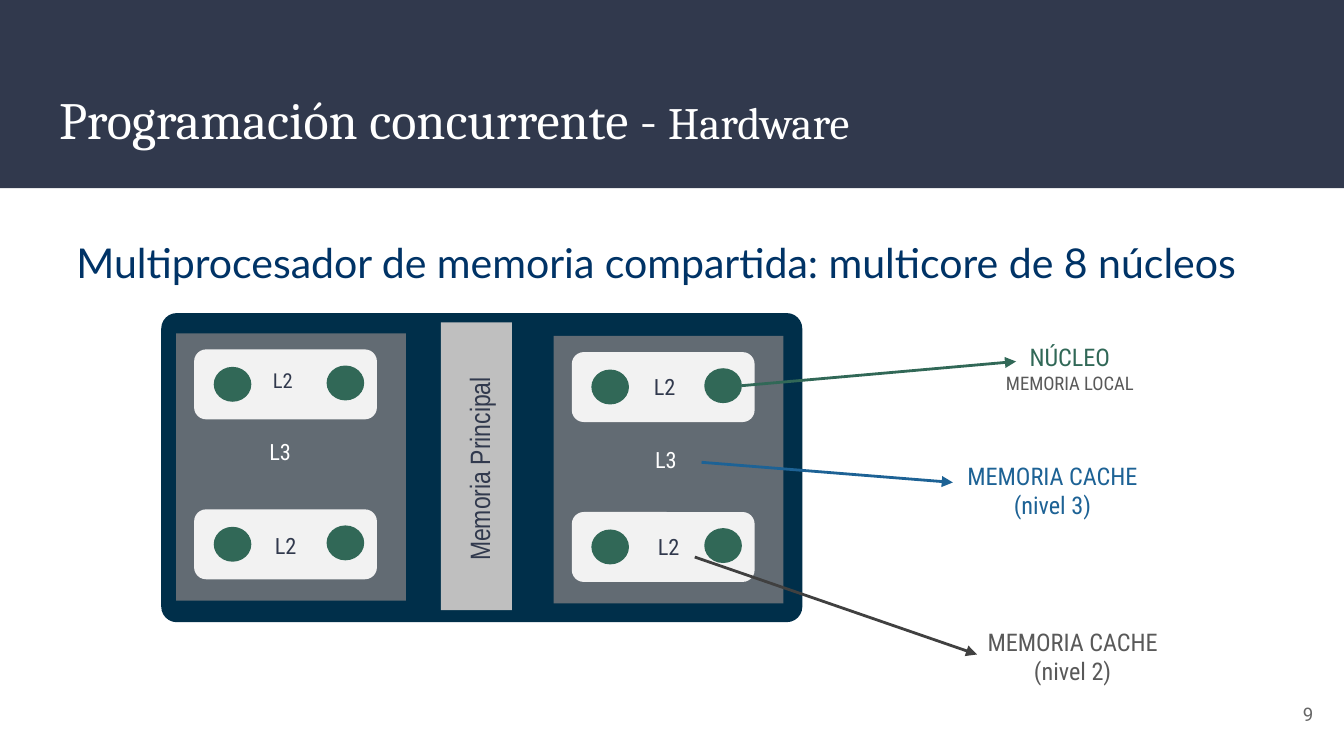
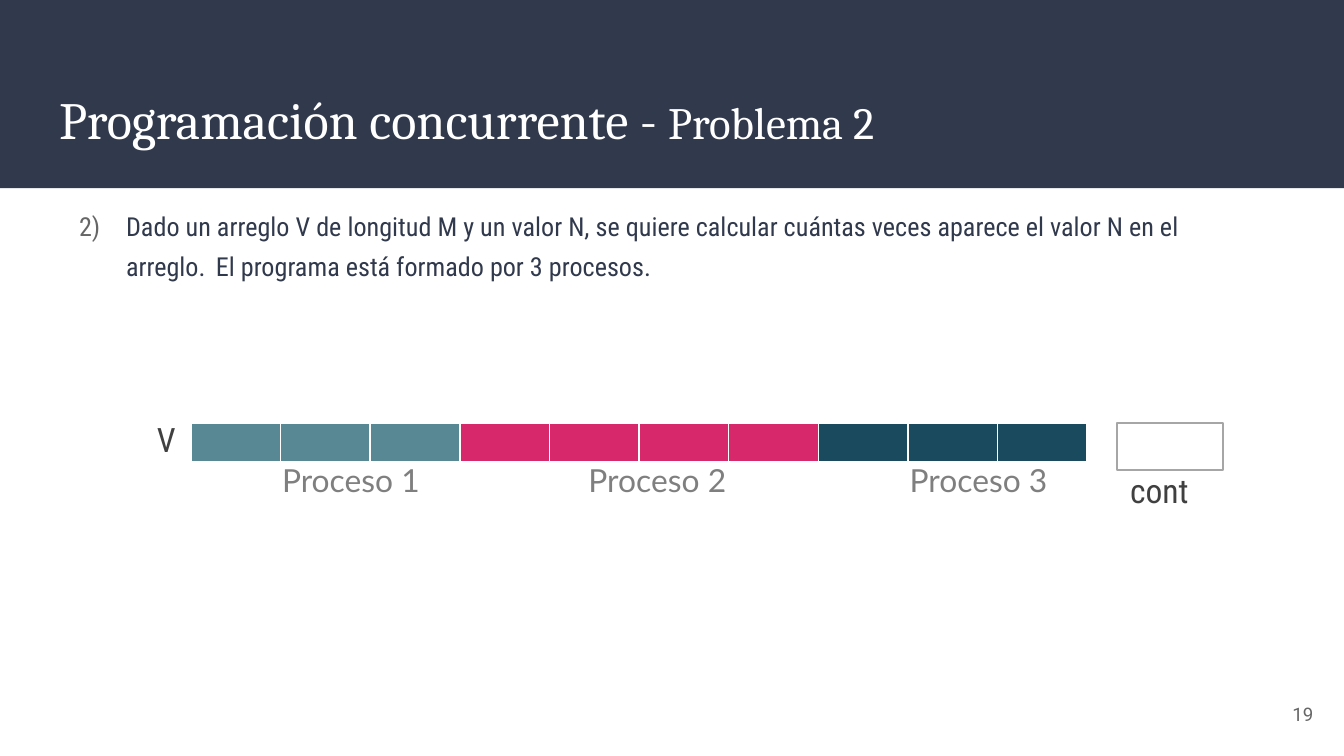
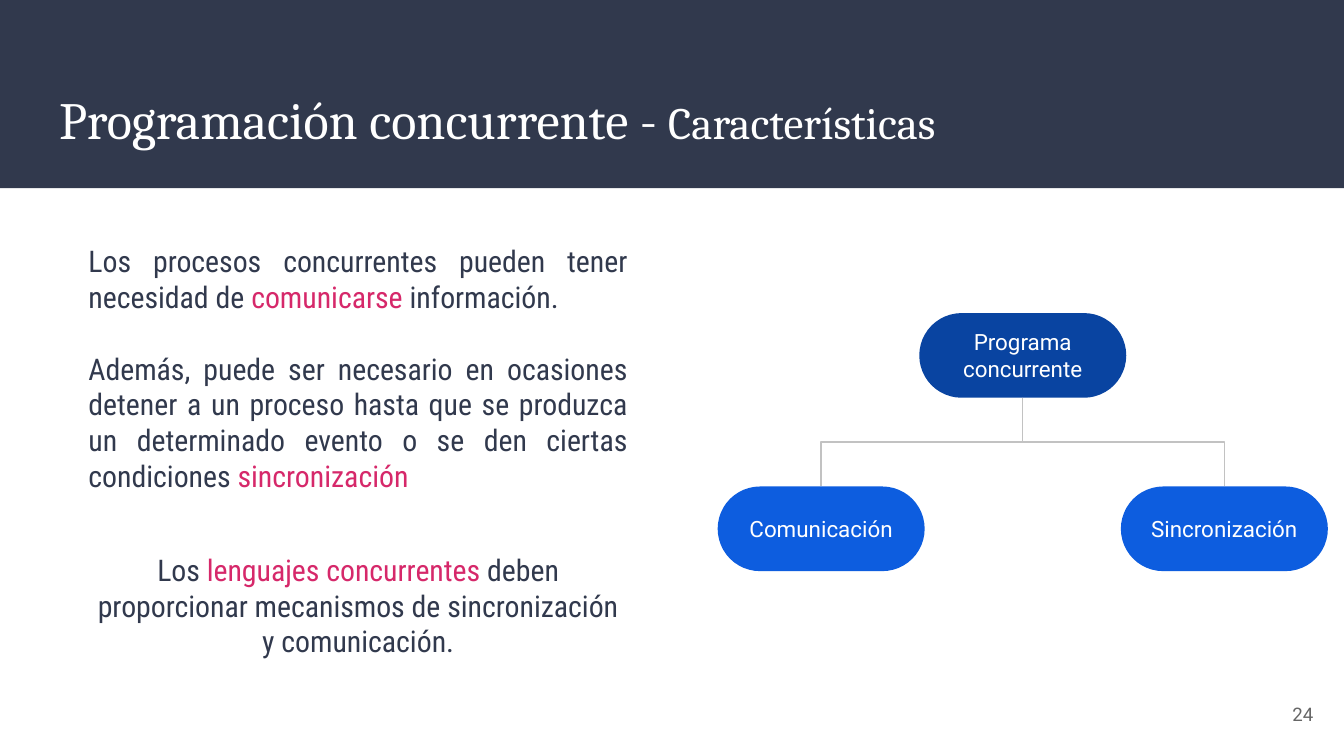
from dataclasses import dataclass, replace

from lxml.etree import SubElement
from pptx import Presentation
from pptx.dml.color import RGBColor
from pptx.enum.shapes import MSO_CONNECTOR as Link, MSO_SHAPE as Shape
from pptx.enum.text import MSO_ANCHOR as Anchor, MSO_AUTO_SIZE as AutoSize, PP_ALIGN as Align
from pptx.oxml.ns import qn
from pptx.util import Inches, Pt

# Grid: 100 columns by 56.25 rows of square cells
CELL = Inches(0.1)
COLUMNS, ROWS = 100, 56.25
TOP, BOTTOM, RIGHT = 0, 2, 3  # connection sites


def grid(*cells):
    return [round(cell * CELL) for cell in cells]


@dataclass(frozen=True)
class Style:
    font: str
    size: float
    color: str


@dataclass(frozen=True)
class Theme:
    navy: str = "31394D"
    white: str = "FFFFFF"
    gray: str = "666666"
    text_gray: str = "595959"
    charcoal: str = "404040"
    green: str = "316857"
    blue: str = "1D6295"
    pink: str = "D6286A"
    teal: str = "588894"
    petrol: str = "1A4A5D"
    board: str = "002F4A"
    chip: str = "626B73"
    bus: str = "BFBFBF"
    cluster: str = "F2F2F2"
    frame: str = "A6A6A6"
    root: str = "0944A1"
    child: str = "0D5DDF"
    branch: str = "C2C2C2"
    title: Style = Style("Cambria", 28, white)
    subtitle: Style = Style("Cambria", 24, white)
    number: Style = Style("Roboto", 10, gray)
    headline: Style = Style("Lato", 22, "003366")
    bus_label: Style = Style("Arial Narrow", 15, navy)
    cache: Style = Style("Roboto Condensed", 12, navy)
    callout: Style = Style("Roboto Condensed", 13, text_gray)
    problem: Style = Style("Roboto Condensed", 14, navy)
    body: Style = Style("Roboto Condensed", 16, navy)
    variable: Style = Style("Roboto Condensed", 18, charcoal)
    process: Style = Style("Lato", 17, "7F7F7F")
    node: Style = Style("Roboto", 12, white)


THEME = Theme()


@dataclass
class Para:
    spans: list  # (text, Style) pairs
    align: Align = Align.LEFT
    before: float = 0
    spacing: float = 1
    number: int = 0


def plain(text, style, align=Align.CENTER, **options):
    return Para([(text, style)], align, **options)


def paint(font, style, base=None):
    """Set what differs from the base style."""
    if not base or style.font != base.font:
        font.name = style.font
    if not base or style.size != base.size:
        font.size = Pt(style.size)
    if not base or style.color != base.color:
        font.color.rgb = RGBColor.from_string(style.color)


class Deck:
    def __init__(self, theme):
        self.theme = theme
        self.deck = Presentation()
        self.deck.slide_width, self.deck.slide_height = grid(COLUMNS, ROWS)
        self.layout = self.deck.slide_layouts[5]
        self.page = None

    def add_page(self, topic, number):
        first = self.page is None
        self.page = self.deck.slides.add_slide(self.layout)
        if first:  # the title band belongs to the layout
            band = self.shape(Shape.RECTANGLE, 0, 0, COLUMNS, 14, self.theme.navy)
            self.layout.shapes.element.insert(2, band.element)
        title = self.page.shapes.title
        title.left, title.top, title.width, title.height = grid(3.4, 5.5, 93.2, 6.8)
        heading = Para([("Programación concurrente - ", self.theme.title),
                        (topic, self.theme.subtitle)])
        self.fill_text(title.text_frame, [heading], pad=1)
        self.text(92.7, 51, 6, 4.3, plain(str(number), self.theme.number, Align.RIGHT),
                  pad=1, anchor=Anchor.MIDDLE)

    def fill_text(self, frame, paras, pad=0.5, anchor=Anchor.TOP, wrap=True):
        frame.word_wrap = wrap
        frame.auto_size = AutoSize.NONE
        frame.vertical_anchor = anchor
        frame.margin_left = frame.margin_right = CELL
        frame.margin_top = frame.margin_bottom = round(pad * CELL)
        for index, item in enumerate(paras):
            para = frame.paragraphs[0] if index == 0 else frame.add_paragraph()
            para.alignment = item.align
            para.line_spacing = item.spacing
            if item.before:
                para.space_before = Pt(item.before)
            if item.number:
                self.number(para, item.number)
            base = item.spans[0][1]
            paint(para.font, base)
            for text, style in item.spans:
                span = para.add_run()
                span.text = text
                paint(span.font, style, base)

    def number(self, para, start):
        props = para._p.get_or_add_pPr()
        props.set("marL", str(Inches(0.5)))
        props.set("indent", str(Inches(-0.35)))
        color = SubElement(props, qn("a:buClr"))
        SubElement(color, qn("a:srgbClr"), val=self.theme.gray)
        SubElement(props, qn("a:buAutoNum"), type="arabicParenR", startAt=str(start))

    def text(self, left, top, width, height, *paras, turn=0, **options):
        box = self.page.shapes.add_textbox(*grid(left, top, width, height))
        box.rotation = turn
        self.fill_text(box.text_frame, paras, **options)
        return box

    def shape(self, kind, left, top, width, height, fill=None, line=None, corner=None):
        shape = self.page.shapes.add_shape(kind, *grid(left, top, width, height))
        shape.shadow.inherit = False
        if corner is not None:
            shape.adjustments[0] = corner
        if fill:
            shape.fill.solid()
            shape.fill.fore_color.rgb = RGBColor.from_string(fill)
        else:
            shape.fill.background()
        if line:
            shape.line.color.rgb = RGBColor.from_string(line)
            shape.line.width = Pt(1)
        else:
            shape.line.fill.background()
        return shape

    def node(self, left, top, label, fill):
        pill = self.shape(Shape.ROUNDED_RECTANGLE, left, top, 15.4, 6.3, fill, corner=0.5)
        self.fill_text(pill.text_frame, [plain(label, self.theme.node)], pad=1,
                       anchor=Anchor.MIDDLE)
        return pill

    def connector(self, kind, ends, color, width):
        link = self.page.shapes.add_connector(kind, *ends)
        link.line.color.rgb = RGBColor.from_string(color)
        link.line.width = Pt(width)
        SubElement(link.element.spPr, qn("a:effectLst"))
        return link

    def arrow(self, start, end, color, source=None):
        link = self.connector(Link.STRAIGHT, grid(*start, *end), color, 1.5)
        if source is not None:
            link.begin_connect(source, RIGHT)
        SubElement(link.element.spPr.find(qn("a:ln")), qn("a:tailEnd"), type="triangle")

    def branch(self, parent, child):
        """Elbow that leaves the parent downwards and enters the child from above."""
        start_x, start_y = parent.left + parent.width // 2, parent.top + parent.height
        end_x, end_y = child.left + child.width // 2, child.top
        link = self.connector(Link.ELBOW, (start_x, start_y, end_x, end_y),
                              self.theme.branch, 0.75)
        link.begin_connect(parent, BOTTOM)
        link.end_connect(child, TOP)
        drop, reach = end_y - start_y, abs(end_x - start_x)
        link.left = (start_x + end_x - drop) // 2
        link.top = (start_y + end_y - reach) // 2
        link.width, link.height = drop, reach
        to_right = end_x > start_x
        frame = link.element.spPr.find(qn("a:xfrm"))
        frame.set("rot", str((270 if to_right else 90) * 60000))
        frame.set("flipH", "1" if to_right else "0")

    def strip(self, left, top, cell_width, height, fills):
        """One-row table of coloured cells."""
        table = self.page.shapes.add_table(
            1, len(fills), *grid(left, top, cell_width * len(fills), height)).table
        for index, fill in enumerate(fills):
            table.columns[index].width = round(cell_width * CELL)
            cell = table.cell(0, index)
            cell.margin_top = cell.margin_bottom = 0
            cell.text_frame.paragraphs[0].font.size = Pt(10)
            props = cell._tc.get_or_add_tcPr()
            for side, points in (("L", 1), ("R", 1), ("T", 1), ("B", 3)):
                border = SubElement(props, qn(f"a:ln{side}"), w=str(Pt(points)))
                solid = SubElement(border, qn("a:solidFill"))
                SubElement(solid, qn("a:srgbClr"), val=self.theme.white)
            cell.fill.solid()
            cell.fill.fore_color.rgb = RGBColor.from_string(fill)


def hardware_page(deck):
    theme = deck.theme
    deck.add_page("Hardware", 9)
    deck.text(4.7, 15.6, 89.2, 4.3, plain(
        "Multiprocesador de memoria compartida: multicore de 8 núcleos",
        theme.headline, Align.LEFT, spacing=1.29), pad=1)

    # Board with the main memory in the middle
    deck.shape(Shape.ROUNDED_RECTANGLE, 12, 23.3, 47.7, 23, theme.board, corner=0.05)
    deck.shape(Shape.RECTANGLE, 32.8, 24, 5.3, 21.4, theme.bus)
    deck.text(28, 32.9, 15.8, 4, plain("Memoria Principal", theme.bus_label),
              turn=270, wrap=False)

    # Two processors, each with two pairs of cores
    for left, top in ((13.1, 24.8), (41.2, 25)):
        deck.shape(Shape.RECTANGLE, left, top, 17.1, 19.9, theme.chip)
        for pair_top in (top + 1.2, top + 13.1):
            deck.shape(Shape.ROUNDED_RECTANGLE, left + 1.35, pair_top, 13.6, 5.2,
                       theme.cluster, corner=0.17)
            for core_left, core_drop in ((2.8, 1.3), (11.2, 1.2)):
                deck.shape(Shape.OVAL, left + core_left, pair_top + core_drop, 2.8, 2.6,
                           theme.green)

    # Cache labels
    small = replace(theme.cache, size=11)
    level3 = replace(theme.cache, color=theme.white)
    deck.text(19.1, 26.9, 3.9, 3.6, plain("L2", small))
    deck.text(19.3, 39.1, 3.9, 4.5, plain("L2", theme.cache))
    deck.text(47.5, 27.3, 3.9, 4.5, plain("L2", theme.cache))
    level2_box = deck.text(47.8, 39.2, 3.9, 4.5, plain("L2", theme.cache))
    deck.text(18.2, 32.1, 5.3, 3.4, plain("L3", level3))
    level3_box = deck.text(46.9, 32.7, 5.3, 3.4, plain("L3", level3))

    # Callouts
    deck.text(71.5, 25, 16.2, 4.5,
              plain("NÚCLEO", replace(theme.callout, color=theme.green)),
              plain("MEMORIA LOCAL", replace(theme.callout, size=10)))
    deck.text(70.9, 33.8, 14.8, 5.7,
              plain("MEMORIA CACHE (nivel 3)", replace(theme.callout, color=theme.blue)))
    deck.text(72.4, 46.2, 14.8, 5.7, plain("MEMORIA CACHE (nivel 2)", theme.callout))
    deck.arrow((55.2, 28.7), (75.6, 26.9), theme.green)
    deck.arrow((52.2, 34.4), (70.9, 35.9), theme.blue, level3_box)
    deck.arrow((51.7, 41.5), (72.7, 48.7), theme.charcoal, level2_box)


def problem_page(deck):
    theme = deck.theme
    deck.add_page("Problema 2", 19)
    deck.text(3.4, 15.8, 91, 5.7, Para([
        ("Dado un arreglo V de longitud M y un valor N, se quiere calcular cuántas veces "
         "aparece el valor N en el arreglo.", theme.problem),
        (" ", Style("Arial Narrow", 24, theme.navy)),
        ("El programa está formado por 3 procesos.", theme.problem),
    ], spacing=0.8, number=2), pad=1, anchor=Anchor.MIDDLE)

    # Array shared out among the processes
    deck.strip(14.2, 31.5, 6.67, 3,
               [theme.teal] * 3 + [theme.pink] * 4 + [theme.petrol] * 3)
    deck.text(10.7, 30.7, 4.4, 4.3, plain("V", theme.variable, Align.LEFT))
    for order, left in enumerate((20, 42.8, 66.7), start=1):
        deck.text(left, 33.8, 13.1, 3.3,
                  plain(f"Proceso {order}", theme.process, Align.LEFT))

    # Counter
    deck.shape(Shape.RECTANGLE, 83.1, 31.5, 7.9, 3.5, line=theme.frame)
    deck.text(83.1, 34.5, 8, 3.8, plain("cont", theme.variable, Align.LEFT))


def features_page(deck):
    theme = deck.theme
    deck.add_page("Características", 24)
    body, accent = theme.body, replace(theme.body, color=theme.pink)
    deck.text(
        5.6, 17.6, 42.1, 34.5,
        Para([("Los procesos concurrentes pueden tener necesidad de ", body),
              ("comunicarse ", accent), ("información.", body)], Align.JUSTIFY),
        Para([("Además, puede ser necesario en ocasiones detener a un proceso hasta que se "
               "produzca un determinado evento o se den ciertas condiciones ", body),
              ("sincronización", accent)], Align.JUSTIFY, before=19),
        Para([("Los ", body), ("lenguajes concurrentes ", accent),
              ("deben proporcionar mecanismos de sincronización y comunicación.", body)],
             Align.CENTER, before=31))

    # Tree
    program = deck.node(68.4, 23.3, "Programa concurrente", theme.root)
    for left, label in ((83.4, "Sincronización"), (53.4, "Comunicación")):
        deck.branch(program, deck.node(left, 36.2, label, theme.child))


def main():
    deck = Deck(THEME)
    hardware_page(deck)
    problem_page(deck)
    features_page(deck)
    deck.deck.save("out.pptx")


if __name__ == "__main__":
    main()
